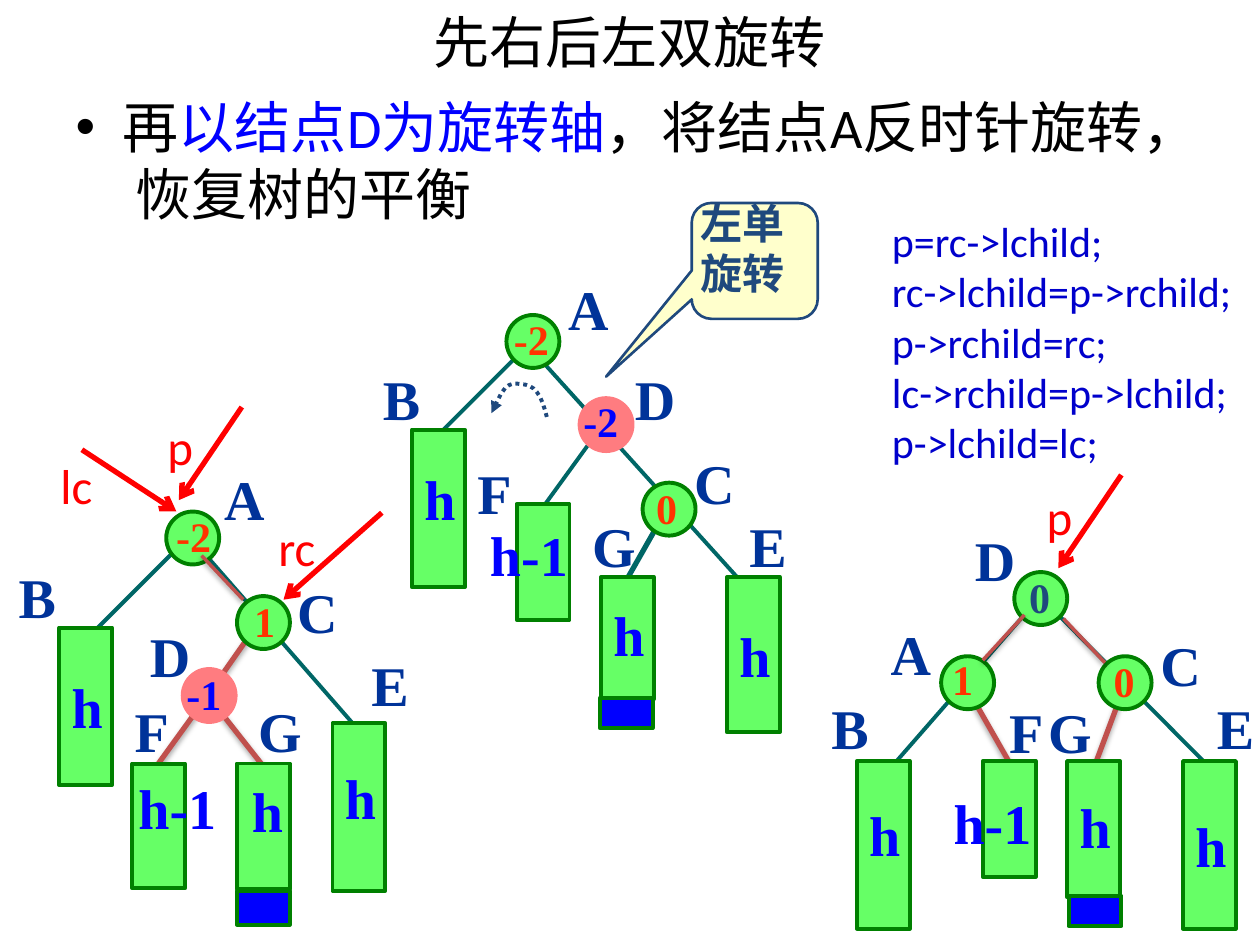
"""Builds the slide on right-then-left double rotation of a balanced tree."""
from lxml import etree
from pptx import Presentation
from pptx.dml.color import RGBColor
from pptx.enum.dml import MSO_LINE
from pptx.enum.shapes import MSO_CONNECTOR, MSO_SHAPE
from pptx.enum.text import MSO_ANCHOR, PP_ALIGN
from pptx.oxml.ns import qn
from pptx.util import Pt

RECT, OVAL = MSO_SHAPE.RECTANGLE, MSO_SHAPE.OVAL
CALLOUT = MSO_SHAPE.ROUNDED_RECTANGULAR_CALLOUT
STRAIGHT = MSO_CONNECTOR.STRAIGHT
DOTS = MSO_LINE.ROUND_DOT
MIDDLE = MSO_ANCHOR.MIDDLE
LEFT, CENTER = PP_ALIGN.LEFT, PP_ALIGN.CENTER

GREEN = RGBColor(0x66, 0xFF, 0x66)
RIM = RGBColor(0x00, 0x80, 0x00)
PINK = RGBColor(0xFF, 0x7C, 0x80)
TEAL = RGBColor(0x00, 0x66, 0x66)
CORAL = RGBColor(0xC0, 0x50, 0x4D)
BLUE = RGBColor(0x00, 0x00, 0xFF)
CODE = RGBColor(0x00, 0x00, 0xCC)
NAME = RGBColor(0x00, 0x33, 0x99)
NAVY = RGBColor(0x1F, 0x49, 0x7D)
ORANGE = RGBColor(0xFF, 0x33, 0x00)
RED = RGBColor(0xFF, 0x00, 0x00)
CREAM = RGBColor(0xFF, 0xFF, 0xCC)
BLACK = RGBColor(0x00, 0x00, 0x00)

SIDE = 30.24
WIDTHS = {"A": 37.4, "B": 36, "C": 37.4, "D": 37.4, "E": 36, "F": 34, "G": 39.6,
          "h": 32.4, "h-1": 59}

deck = Presentation()
deck.slide_width, deck.slide_height = Pt(720), Pt(540)
slide = deck.slides.add_slide(deck.slide_layouts[1])
shapes = slide.shapes


def write(text, box=None, shape=None, size=32, color=NAME, font="Times New Roman",
          bold=True, wrap=False, space=None):
    if shape is None:
        shape = shapes.add_textbox(*map(Pt, box))
    frame = shape.text_frame
    frame.word_wrap = wrap
    for i, part in enumerate(text.split("\n")):
        para = frame.add_paragraph() if i else frame.paragraphs[0]
        para.alignment = LEFT
        if space:
            para.line_spacing = space
        run = para.add_run()
        run.text = part
        run.font.size, run.font.name, run.font.bold = Pt(size), font, bold
        run.font.color.rgb = color


def link(ends, color, width, shade=None, blur=3.1, drop=1.8, head=False):
    line = shapes.add_connector(STRAIGHT, *map(Pt, ends))
    line.line.color.rgb, line.line.width = color, Pt(width)
    props = line.line._get_or_add_ln().getparent()
    if head:
        etree.SubElement(line.line._get_or_add_ln(), qn("a:tailEnd"), type="arrow")
    effects = etree.SubElement(props, qn("a:effectLst"))
    if shade:
        outer = etree.SubElement(effects, qn("a:outerShdw"), blurRad=str(Pt(blur)),
                                 dist=str(Pt(drop)), dir="5400000", rotWithShape="0")
        tint = etree.SubElement(outer, qn("a:srgbClr"), val="000000")
        etree.SubElement(tint, qn("a:alpha"), val=str(shade * 1000))


title, body = shapes.title, slide.placeholders[1]
for holder, box in ((title, (36, -2, 648, 51)), (body, (36, 49, 648, 491))):
    holder.left, holder.top, holder.width, holder.height = map(Pt, box)
title.text_frame.vertical_anchor = MIDDLE
title.text_frame.paragraphs[0].alignment = CENTER
body.text_frame.paragraphs[0].space_before = Pt(0)
for holder, text, color in (
        (title, "先右后左双旋转", BLACK), (body, "再", BLACK),
        (body, "以结点D为旋转轴", BLUE),
        (body, "，将结点A反时针旋转， 恢复树的平衡", BLACK)):
    run = holder.text_frame.paragraphs[0].add_run()
    run.text = text
    run.font.size, run.font.name, run.font.color.rgb = Pt(32), "Calibri", color

callout = shapes.add_shape(CALLOUT, Pt(395.3), Pt(116), Pt(72), Pt(66.2))
callout.shadow.inherit = False
callout.adjustments[0], callout.adjustments[1] = -1.18, 1
callout.adjustments[2] = 0.17
callout.fill.solid()
callout.fill.fore_color.rgb = CREAM
callout.line.color.rgb, callout.line.width = NAVY, Pt(1.5)
write("左单\n旋转", (393, 109.4, 72, 64.8), size=24, color=NAVY, wrap=True)

TREES = [
    {"edges": [(98.6, 316, 44.6, 370, TEAL, 2.25), (116.6, 316, 200.9, 412.6, TEAL, 2.25),
               (126, 406.8, 149.8, 437, CORAL, 3), (116.6, 400.3, 86.4, 442, CORAL, 3),
               (141.8, 364.3, 116.6, 400.3, CORAL, 3)],
     "boxes": [(33.8, 358.6, 90, GREEN, 1), (190, 413.3, 95.8, GREEN, 0.6),
               (75.6, 436.3, 71.3, GREEN, 0), (135.4, 436.3, 72, GREEN, 0),
               (135.4, 509, 19.4, BLUE, 0)],
     "nodes": [(95, 292.3, GREEN), (135.4, 340.6, GREEN), (104.4, 382.3, PINK)],
     "names": [("A", 121, 262), ("B", 3.6, 318.2), ("C", 162.7, 326.2), ("D", 78.5, 351.4),
               ("E", 205.2, 368), ("F", 69.8, 394.6), ("G", 140.4, 394.6)],
     "sizes": [("h", 136.8, 440), ("h-1", 72, 438.5)],
     "marks": [("-2", 93.6, 288, ORANGE), ("1", 138.2, 337, ORANGE),
               ("-1", 99.4, 378.7, BLUE)]},
    {"edges": [(379.4, 293.8, 355.7, 335.5, TEAL, 3), (295.2, 203.8, 241.2, 257.8, TEAL, 2.25),
               (307.4, 203.8, 421.2, 329.8, TEAL, 2.25),
               (337.7, 252, 307.4, 293.8, TEAL, 2.25)],
     "boxes": [(235.4, 245.5, 90, GREEN, 0.6), (415.4, 329.8, 88.6, GREEN, 1),
               (295.2, 288, 66.2, GREEN, 0), (343.4, 329.8, 69.8, GREEN, 0),
               (342.7, 398.9, 17.3, BLUE, 0)],
     "nodes": [(289.4, 180, GREEN), (367.2, 275.8, GREEN), (331.2, 227.5, PINK)],
     "names": [("A", 317.5, 153.4), ("B", 211.7, 204.5), ("C", 389.5, 252.7),
               ("D", 355.7, 204.5), ("E", 421.2, 288.7), ("F", 265.7, 258.5),
               ("G", 331.2, 288.7)],
     "sizes": [("h", 343.4, 339.8), ("h-1", 272.9, 293.8)],
     "marks": [("-2", 286.6, 175.7, ORANGE), ("0", 367.9, 272.2, ORANGE),
               ("-2", 326.2, 222.5, BLUE)]},
    {"edges": [(640, 398.9, 622, 447, CORAL, 3), (604, 350.6, 687.6, 434.9, TEAL, 2.25),
               (586, 350.6, 501.8, 447, TEAL, 2.25), (555.8, 398.9, 579.6, 440.6, CORAL, 3)],
     "boxes": [(489.6, 434.9, 95.8, GREEN, 0.6), (676, 434.9, 95.8, GREEN, 1),
               (561.6, 434.9, 66.2, GREEN, 0), (609.8, 434.9, 77.8, GREEN, 0),
               (610.6, 512, 17.3, BLUE, 0)],
     "nodes": [(537.8, 375, GREEN), (627.8, 375, GREEN), (579.6, 326.9, GREEN)],
     "names": [("A", 501.8, 350.6), ("B", 468, 393), ("C", 656, 357), ("D", 550, 296.6),
               ("E", 688.3, 393), ("F", 569.5, 395.3), ("G", 591.8, 395.3)],
     "sizes": [("h", 609.8, 449.3), ("h-1", 537.8, 447)],
     "marks": [("1", 537, 370, ORANGE), ("0", 629.3, 370.8, ORANGE),
               ("0", 581, 323.3, NAVY)]},
]
for tree in TREES:
    for *ends, color, width in tree["edges"]:
        link(ends, color, width, shade=35 if color == CORAL else None)
    parts = [(RECT, *box) for box in tree["boxes"]]
    parts += [(OVAL, x, y, SIDE, fill, 0) for x, y, fill in tree["nodes"]]
    for kind, x, y, high, fill, space in parts:
        part = shapes.add_shape(kind, Pt(x), Pt(y), Pt(SIDE), Pt(high))
        part.shadow.inherit = False
        part.fill.solid()
        part.fill.fore_color.rgb = fill
        part.line.color.rgb = PINK if fill == PINK else RIM
        part.line.width = Pt(2.25)
        if space:
            write("h", shape=part, color=BLUE, space=space)
    for key, color in (("names", NAME), ("sizes", BLUE)):
        for text, x, y in tree[key]:
            write(text, (x, y, WIDTHS[text], 45.4), color=color)
    for text, x, y, color in tree["marks"]:
        write(text, (x, y, 34.6 if len(text) > 1 else 26.6, 36.4), size=24, color=color)

BENDS = [(312.5, 238.3), (311, 232.6), (309.6, 227.5), (306.7, 223.9), (304.6, 221),
         (301, 219.6), (298, 219.6), (294.5, 218.9), (291.6, 218.9), (288.7, 221.8),
         (285.8, 224.6), (282.2, 234), (280.8, 236.2)]
curve = []
for i in range(0, len(BENDS) - 1, 3):
    for t in (0.25, 0.5, 0.75, 1):
        mix = ((1 - t) ** 3, 3 * t * (1 - t) ** 2, 3 * t * t * (1 - t), t ** 3)
        curve.append([Pt(sum(m * p[k] for m, p in zip(mix, BENDS[i:i + 4])))
                      for k in (0, 1)])
pen = shapes.build_freeform(Pt(BENDS[0][0]), Pt(BENDS[0][1]))
pen.add_line_segments(curve, close=False)
turn = pen.convert_to_shape()
turn.shadow.inherit = False
turn.fill.background()
turn.line.color.rgb, turn.line.width = NAVY, Pt(2.25)
turn.line.dash_style = DOTS
etree.SubElement(turn.line._get_or_add_ln(), qn("a:tailEnd"), type="triangle")

for text, x, y, wide, ends in (
        ("p", 591, 274.3, 32.4, (640.8, 271.4, 604.8, 324.7)),
        ("p", 88.6, 234.7, 32.4, (138.2, 232.6, 102.2, 285.8)),
        ("lc", 27.4, 257, 39.6, (46.8, 257, 100.8, 292.3)),
        ("rc", 152, 292.3, 44.6, (218.2, 293, 162, 342.7))):
    link(ends, RED, 3, head=True)
    write(text, (x, y, wide, 41), size=28, color=RED, font="Calibri", bold=False, wrap=True)

write("p=rc->lchild;\nrc->lchild=p->rchild;\np->rchild=rc;\nlc->rchild=p->lchild;\n"
      "p->lchild=lc;", (502.6, 119.5, 211, 152.6), size=24, color=CODE,
      font="Calibri", bold=False)
for ends in ((607.7, 353.5, 631.4, 378.7), (115.2, 317.5, 139, 342.7),
             (585.4, 351.4, 561.6, 377.3)):
    link(ends, CORAL, 2, shade=38, drop=1.6)

deck.save("out.pptx")
